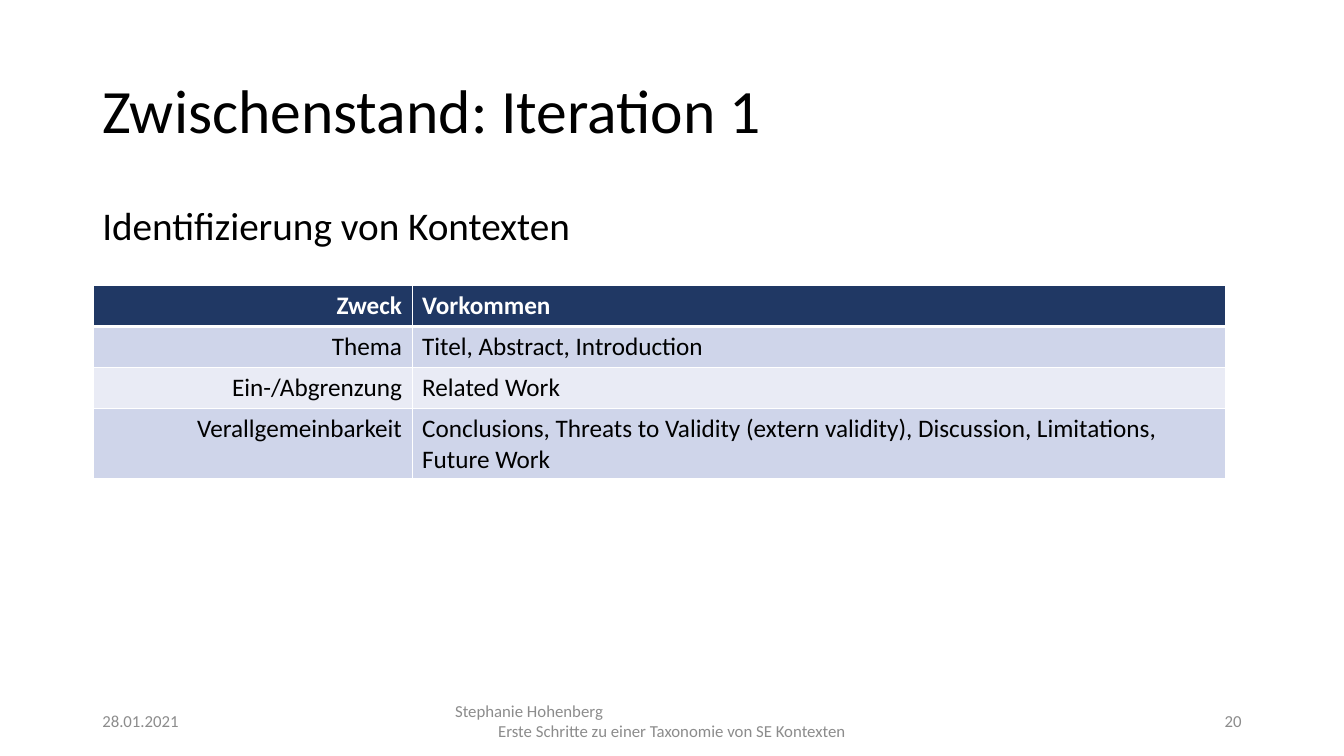
import pptx
import pptx.util
import pptx.dml.color
import pptx.enum.text
import pptx.oxml
import pptx.oxml.ns

Pt = pptx.util.Pt
ALIGN = pptx.enum.text.PP_ALIGN
ANCHOR = pptx.enum.text.MSO_ANCHOR

COLORS = {
    "black": "000000",
    "white": "FFFFFF",
    "gray": "8C8C8C",
    "navy": "203864",
    "band": "CFD5EA",
    "pale": "E9EBF5",
}


def color(name):
    return pptx.dml.color.RGBColor.from_string(COLORS[name])


def write(para, text, size=18, tint="black", bold=False, align=ALIGN.LEFT, line=None):
    para.alignment = align
    if line:
        para.line_spacing = line
    run = para.add_run()
    run.text = text
    font = run.font
    font.name = "Calibri"
    font.size = Pt(size)
    font.bold = bold
    font.color.rgb = color(tint)


class Deck:
    def __init__(self, width, height):
        self.show = pptx.Presentation()
        self.show.slide_width = Pt(width)
        self.show.slide_height = Pt(height)
        self.slide = self.show.slides.add_slide(self.show.slide_layouts[6])

    def text(self, box, lines, anchor=ANCHOR.MIDDLE, **style):
        """Each line is a pair of text and alignment."""
        frame = self.slide.shapes.add_textbox(*map(Pt, box)).text_frame
        frame.word_wrap = True
        frame.vertical_anchor = anchor
        for i, (line, align) in enumerate(lines):
            para = frame.add_paragraph() if i else frame.paragraphs[0]
            write(para, line, align=align, **style)

    def border(self, cell, side, width):
        line = pptx.oxml.parse_xml(
            f'<a:ln{side} {pptx.oxml.ns.nsdecls("a")} w="{Pt(width)}"><a:solidFill>'
            f'<a:srgbClr val="{COLORS["white"]}"/></a:solidFill></a:ln{side}>')
        cell._tc.get_or_add_tcPr().append(line)

    def table(self, left, top, widths, heights, rows):
        shape = self.slide.shapes.add_table(
            len(rows), len(widths), Pt(left), Pt(top), Pt(sum(widths)), Pt(sum(heights)))
        grid = shape.table
        for column, width in zip(grid.columns, widths):
            column.width = Pt(width)
        for r, (row, height) in enumerate(zip(rows, heights)):
            grid.rows[r].height = Pt(height)
            head = r == 0
            fill = "navy" if head else "band" if r % 2 else "pale"
            for c, text in enumerate(row):
                cell = grid.cell(r, c)
                for side in "LRTB":
                    thick = (side == "B" and head) or (side == "T" and r == 1)
                    self.border(cell, side, 3 if thick else 1)
                cell.fill.solid()
                cell.fill.fore_color.rgb = color(fill)
                write(cell.text_frame.paragraphs[0], text, bold=head,
                      tint="white" if head else "black",
                      align=ALIGN.LEFT if c else ALIGN.RIGHT)


def main():
    deck = Deck(960, 540)

    # Title and subtitle
    deck.text((66, 28.75, 828, 104.4), [("Zwischenstand: Iteration 1", ALIGN.LEFT)],
              size=44, line=0.9)
    deck.text((66, 144, 828, 49), [("Identifizierung von Kontexten", ALIGN.LEFT)],
              anchor=ANCHOR.TOP, size=28, line=0.9)

    # Purposes and where they occur
    deck.table(66.4, 204, [228, 581], [29.2, 29.2, 29.2, 50.6], [
        ("Zweck", "Vorkommen"),
        ("Thema", "Titel, Abstract, Introduction"),
        ("Ein-/Abgrenzung", "Related Work"),
        ("Verallgemeinbarkeit", "Conclusions, Threats to Validity (extern validity), "
                                "Discussion, Limitations, Future Work"),
    ])

    # Footer
    footer = [
        (66, 216, [("28.01.2021", ALIGN.LEFT)]),
        (318, 324, [("Stephanie Hohenberg", ALIGN.LEFT),
                    ("Erste Schritte zu einer Taxonomie von SE Kontexten", ALIGN.CENTER)]),
        (678, 216, [("20", ALIGN.RIGHT)]),
    ]
    for left, width, lines in footer:
        deck.text((left, 500.5, width, 28.75), lines, size=12, tint="gray")

    deck.show.save("out.pptx")


if __name__ == "__main__":
    main()
